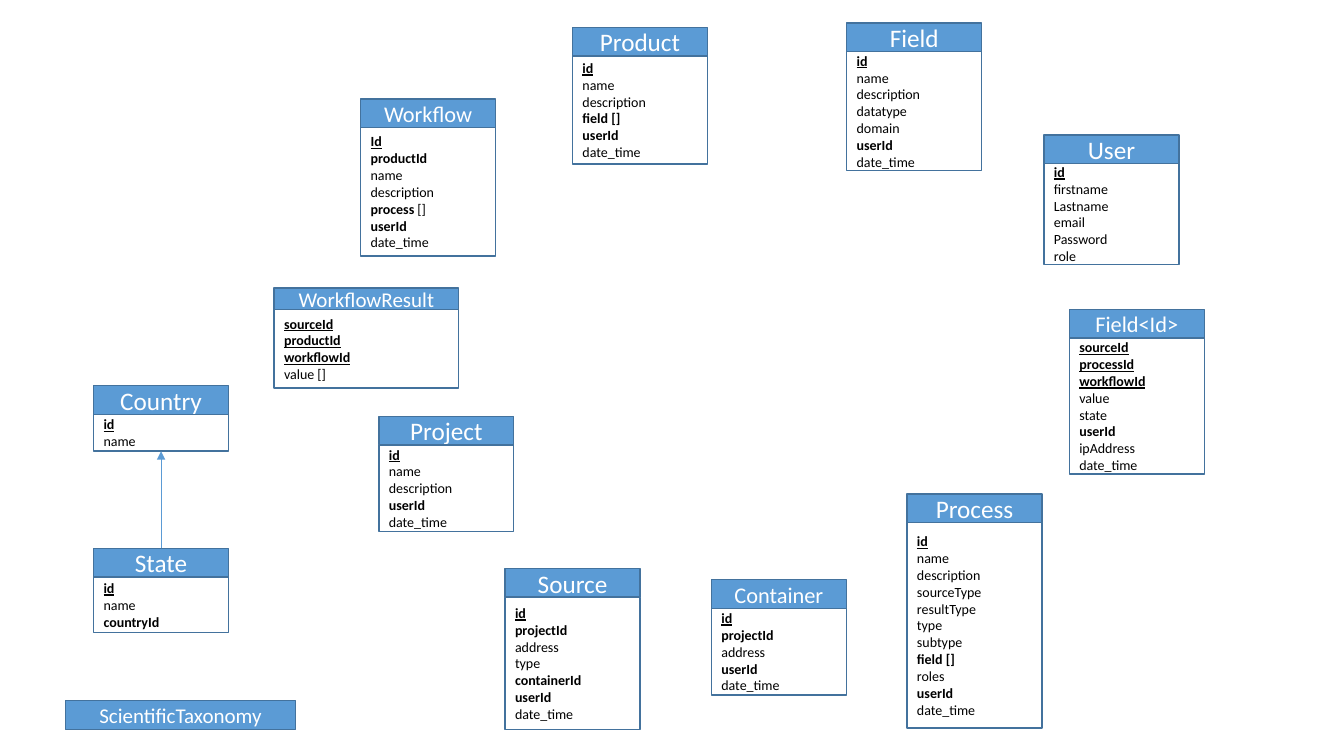
from lxml import etree
from pptx import Presentation
from pptx import util as u
from pptx.dml.color import RGBColor
from pptx.enum import shapes, text
from pptx.oxml.ns import qn

FONT = "Calibri"
COLORS = {"head": "5B9BD5", "border": "43729D", "light": "FFFFFF", "dark": "000000"}
WIDTH, HEAD = 3.4, 0.72

# "#" marks a key, "*" a bold field, "|" the end of the bold part
ENTITIES = [
    ("User", 26.31, 3.4, 2.54, "#id,firstname,Lastname,email,Password,role", {}),
    ("Project", 9.55, 10.49, 2.18, "#id,name,description,*userId,date_time", {}),
    ("Field", 21.34, 0.58, 3, "#id,name,description,datatype,domain,*userId,date_time", {}),
    ("Country", 2.36, 9.72, 0.93, "#id,name", {}),
    ("Process", 22.86, 12.45, 5.18,
     "#id,name,description,sourceType,resultType,type,subtype,*field [],roles,*userId,date_time", {}),
    ("Source", 12.73, 14.33, 3.33,
     "#id,*projectId,address,type,*containerId,*userId,date_time", {}),
    ("State", 2.36, 13.82, 1.4, "#id,name,*countryId", {}),
    ("Container", 17.93, 14.61, 2.18, "#id,*projectId,address,*userId,date_time", {"size": 16}),
    ("Field<Id>", 26.95, 7.8, 3.43,
     "#sourceId,#processId,#workflowId,value,state,*userId,ipAddress,date_time", {"size": 16}),
    ("Workflow", 9.09, 2.5, 3.23,
     "#Id,*productId,name,description,*process| [],*userId,date_time", {"size": 16}),
    ("Product", 14.43, 0.69, 2.72, "#id,name,description,*field [],*userId,date_time", {}),
    ("WorkflowResult", 6.91, 7.26, 1.98, "#sourceId,#productId,#workflowId,value []",
     {"size": 15, "width": 4.65, "head": 0.54}),
]


def rgb(name):
    return RGBColor.from_string(COLORS[name])


def add_run(p, content, size=10, color="dark", bold=False, underline=False):
    r = p.add_run()
    r.text = content
    r.font.name, r.font.size = FONT, u.Pt(size)
    r.font.bold, r.font.underline = bold, underline
    r.font.color.rgb = rgb(color)


def add_box(s, left, top, width, height, fill=None):
    sp = s.shapes.add_shape(shapes.MSO_SHAPE.RECTANGLE,
                            u.Cm(left), u.Cm(top), u.Cm(width), u.Cm(height))
    sp.shadow.inherit = False
    if fill:
        sp.fill.solid()
        sp.fill.fore_color.rgb = rgb(fill)
    else:
        sp.fill.background()
    sp.line.color.rgb = rgb("border")
    sp.line.width = u.Pt(1)
    sp.text_frame.vertical_anchor = text.MSO_ANCHOR.MIDDLE
    return sp


def add_header(s, name, left, top, width=WIDTH, height=HEAD, size=18):
    sp = add_box(s, left, top, width, height, "head")
    p = sp.text_frame.paragraphs[0]
    p.alignment = text.PP_ALIGN.CENTER
    add_run(p, name, size=size, color="light")
    return sp


def add_fields(s, fields, left, top, width, height):
    sp = add_box(s, left, top, width, height)
    tf = sp.text_frame
    for i, field in enumerate(fields.split(",")):
        p = tf.add_paragraph() if i else tf.paragraphs[0]
        p.alignment = text.PP_ALIGN.LEFT
        main_part, _, rest = field.partition("|")
        add_run(p, main_part.lstrip("#*"), bold=field[0] in "#*", underline=field[0] == "#")
        if rest:
            add_run(p, rest)
    return sp


def add_entity(s, name, left, top, height, fields, size=18, width=WIDTH, head=HEAD):
    header = add_header(s, name, left, top, width, head, size)
    return header, add_fields(s, fields, left, top + head, width, height)


def add_arrow(s, start, end):
    c = s.shapes.add_connector(shapes.MSO_CONNECTOR.STRAIGHT, 0, 0, 0, 0)
    c.begin_connect(start, 0)
    c.end_connect(end, 2)
    c.line.color.rgb = rgb("head")
    c.line.width = u.Pt(0.5)
    etree.SubElement(c.line._get_or_add_ln(), qn("a:tailEnd"), type="triangle")
    etree.SubElement(c._element.spPr, qn("a:effectLst"))


def main():
    prs = Presentation()
    prs.slide_width, prs.slide_height = u.Cm(33.87), u.Cm(19.05)
    s = prs.slides.add_slide(prs.slide_layouts[6])
    boxes = {}
    for name, left, top, height, fields, options in ENTITIES:
        boxes[name] = add_entity(s, name, left, top, height, fields, **options)
    add_header(s, "ScientificTaxonomy", 1.65, 17.65, width=5.8, height=0.74, size=15)
    add_arrow(s, boxes["State"][0], boxes["Country"][1])
    prs.save("out.pptx")


if __name__ == "__main__":
    main()
